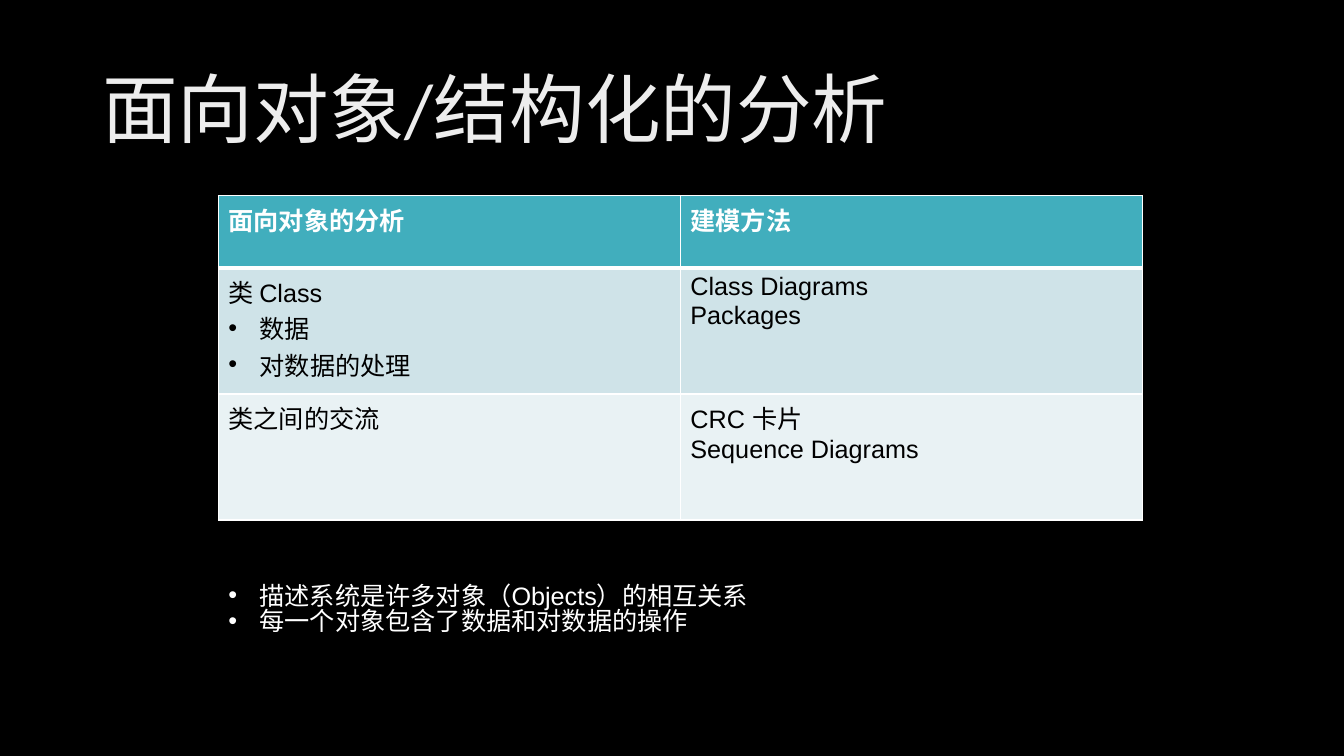
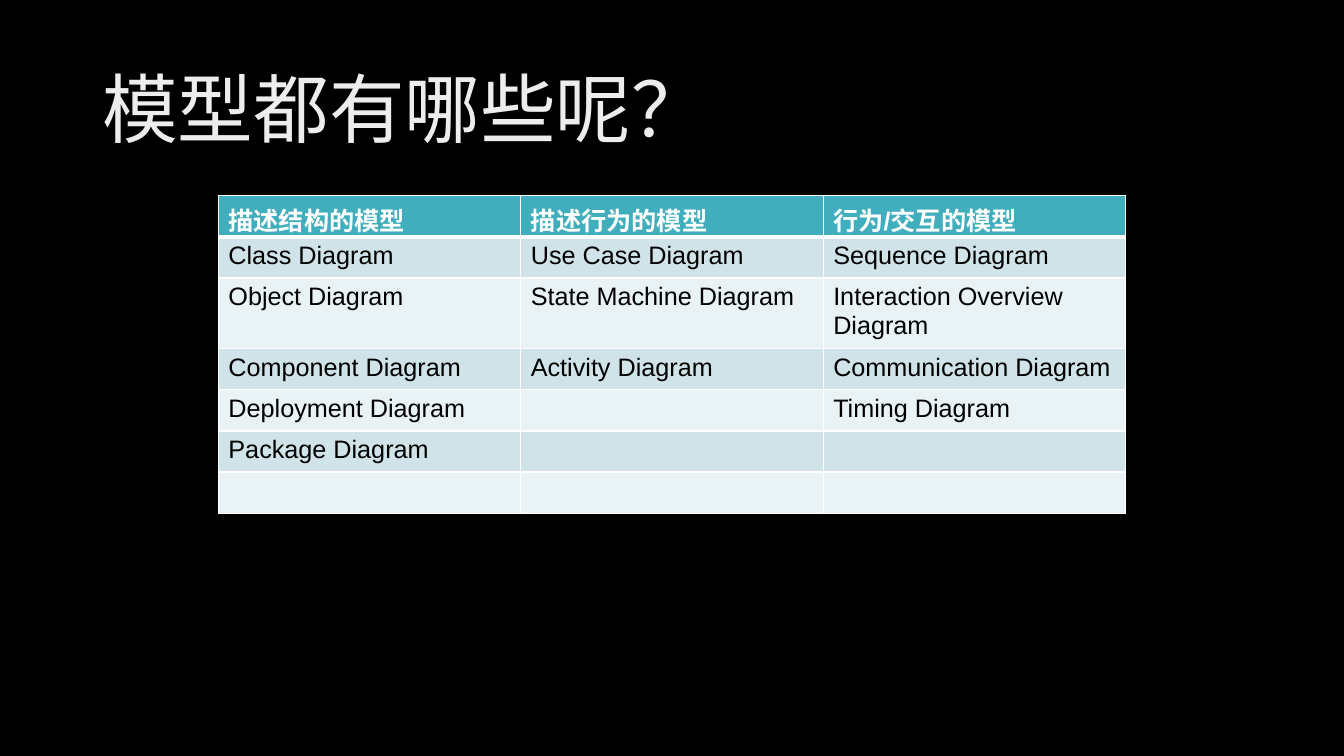
from lxml.etree import SubElement
from pptx import Presentation
from pptx.dml.color import RGBColor
from pptx.enum.lang import MSO_LANGUAGE_ID
from pptx.enum.text import MSO_ANCHOR
from pptx.oxml.ns import qn
from pptx.util import Inches, Pt

COLORS = {
    "background": "000000",
    "title": "EDEDED",
    "light": "FFFFFF",
    "dark": "000000",
    "header": "41AEBD",
    "band_odd": "CFE3E8",
    "band_even": "E9F2F4",
}
COLS, ROWS = 80, 45  # grid cells of 1/6 inch
LEFT, TABLE_TOP = 13, 11.65
BULLET = "• "


def grid(n):
    return Inches(n / 6)


class Deck:
    """Shared style and the slide being built."""

    def __init__(self):
        self.prs = Presentation()
        self.prs.slide_width, self.prs.slide_height = grid(COLS), grid(ROWS)
        self.s = None

    def slide(self, title):
        self.s = self.prs.slides.add_slide(self.prs.slide_layouts[6])
        fill = self.s.background.fill
        fill.solid()
        fill.fore_color.rgb = RGBColor.from_string(COLORS["background"])
        tf = self.text([title], 5.5, 2.4, 69, 8.7, "title", 54, "Calibri", 0.9)
        tf.vertical_anchor = MSO_ANCHOR.MIDDLE

    def set_lines(self, tf, lines, color, size=18, font="Arial", bold=False):
        """Fill a text frame; lines that start with a bullet become list items."""
        tf.text = "\n".join(line.removeprefix(BULLET) for line in lines)
        for p, line in zip(tf.paragraphs, lines):
            if line.startswith(BULLET):
                self.bullet(p)
            for r in p.runs:
                r.font.size, r.font.name, r.font.bold = Pt(size), font, bold
                r.font.color.rgb = RGBColor.from_string(COLORS[color])
                r.font.language_id = MSO_LANGUAGE_ID.SIMPLIFIED_CHINESE

    def bullet(self, p):
        indent = Inches(0.31)
        pPr = p._p.get_or_add_pPr()
        pPr.set("marL", str(indent))
        pPr.set("indent", str(-indent))
        SubElement(pPr, qn("a:buFont")).set("typeface", "Arial")
        SubElement(pPr, qn("a:buChar")).set("char", BULLET.strip())

    def text(self, lines, x, y, w, h, color, size=18, font="Arial", spacing=None):
        sp = self.s.shapes.add_textbox(grid(x), grid(y), grid(w), grid(h))
        tf = sp.text_frame
        tf.word_wrap = True
        self.set_lines(tf, lines, color, size, font)
        for p in tf.paragraphs:
            p.line_spacing = spacing
        return tf

    def borders(self, cell, **widths):
        tcPr = cell._tc.get_or_add_tcPr()
        for side in "LRTB":
            ln = SubElement(tcPr, qn(f"a:ln{side}"))
            ln.set("w", str(Pt(widths.get(side, 1))))
            fill = SubElement(ln, qn("a:solidFill"))
            SubElement(fill, qn("a:srgbClr")).set("val", COLORS["light"])

    def table(self, rows, width, heights):
        n = len(rows[0])
        frame = self.s.shapes.add_table(
            len(rows), n, grid(LEFT), grid(TABLE_TOP), grid(width), grid(sum(heights)))
        table = frame.table
        for col in table.columns:
            col.width = grid(width / n)
        for i, (row, height) in enumerate(zip(rows, heights)):
            table.rows[i].height = grid(height)
            header = i == 0
            band = "header" if header else "band_odd" if i % 2 else "band_even"
            for j, value in enumerate(row):
                cell = table.cell(i, j)
                # A thick rule separates the header from the body
                self.borders(cell, B=3 if header else 1, T=3 if i == 1 else 1)
                cell.fill.solid()
                cell.fill.fore_color.rgb = RGBColor.from_string(COLORS[band])
                self.set_lines(cell.text_frame, value.split("\n"),
                               "light" if header else "dark", bold=header)


def main():
    deck = Deck()

    # Object-oriented analysis and its modelling methods
    deck.slide("面向对象/结构化的分析")
    deck.table([
        ["面向对象的分析", "建模方法"],
        ["类 Class\n• 数据\n• 对数据的处理", "Class Diagrams\nPackages"],
        ["类之间的交流", "CRC 卡片\nSequence Diagrams"],
    ], 55, [4.3, 7.5, 7.5])
    deck.text(["• 描述系统是许多对象（Objects）的相互关系",
               "• 每一个对象包含了数据和对数据的操作"],
              LEFT, 34.5, 55, 4.25, "light", spacing=0.85)

    # Kinds of model
    deck.slide("模型都有哪些呢？")
    models = [
        ["描述结构的模型", "描述行为的模型", "行为/交互的模型"],
        ["Class Diagram", "Use Case Diagram", "Sequence Diagram"],
        ["Object Diagram", "State Machine Diagram", "Interaction Overview Diagram"],
        ["Component Diagram", "Activity Diagram", "Communication Diagram"],
        ["Deployment Diagram", "", "Timing Diagram"],
        ["Package Diagram", "", ""],
        ["", "", ""],
    ]
    deck.table(models, 54, [2.45] * len(models))

    deck.prs.save("out.pptx")


if __name__ == "__main__":
    main()
